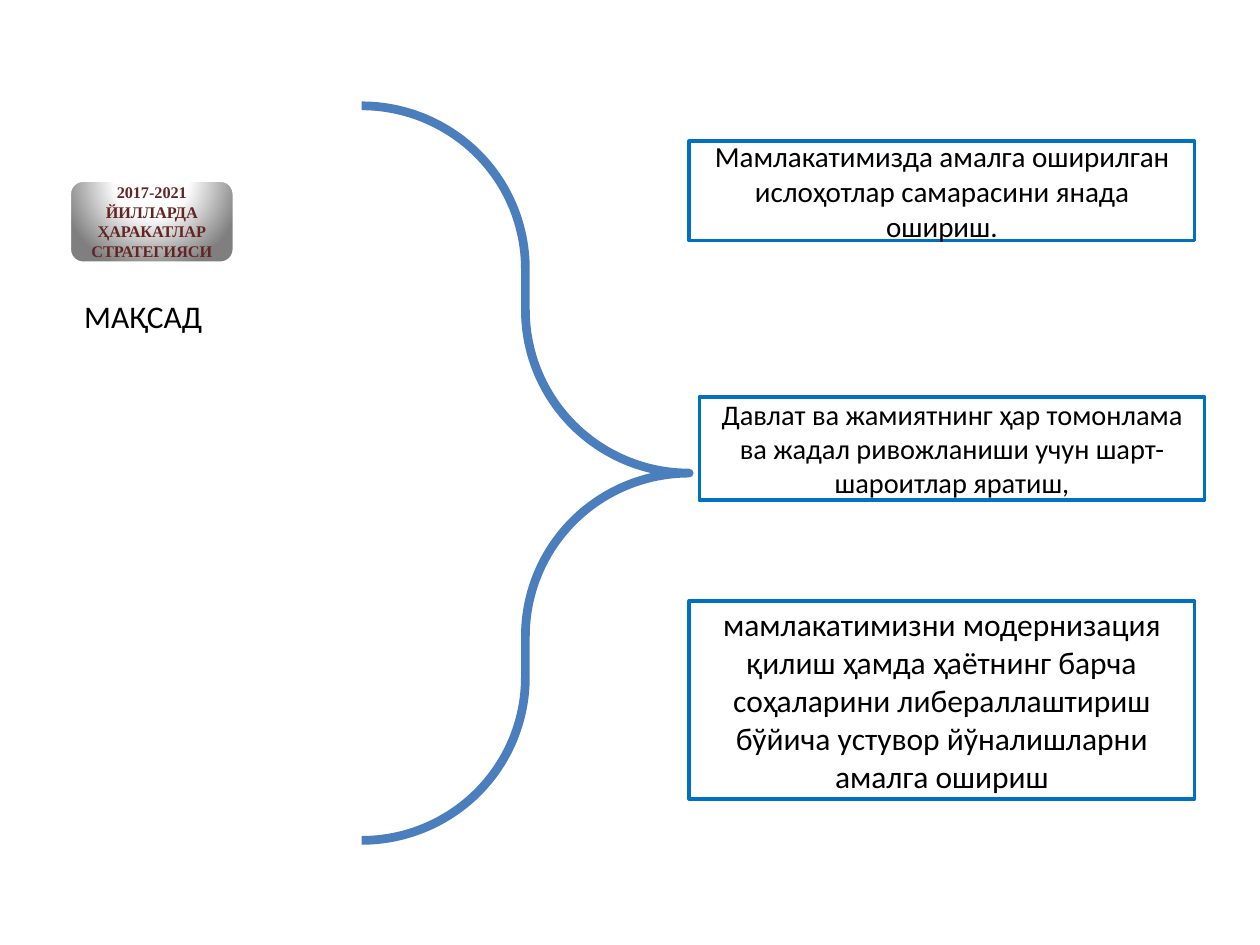
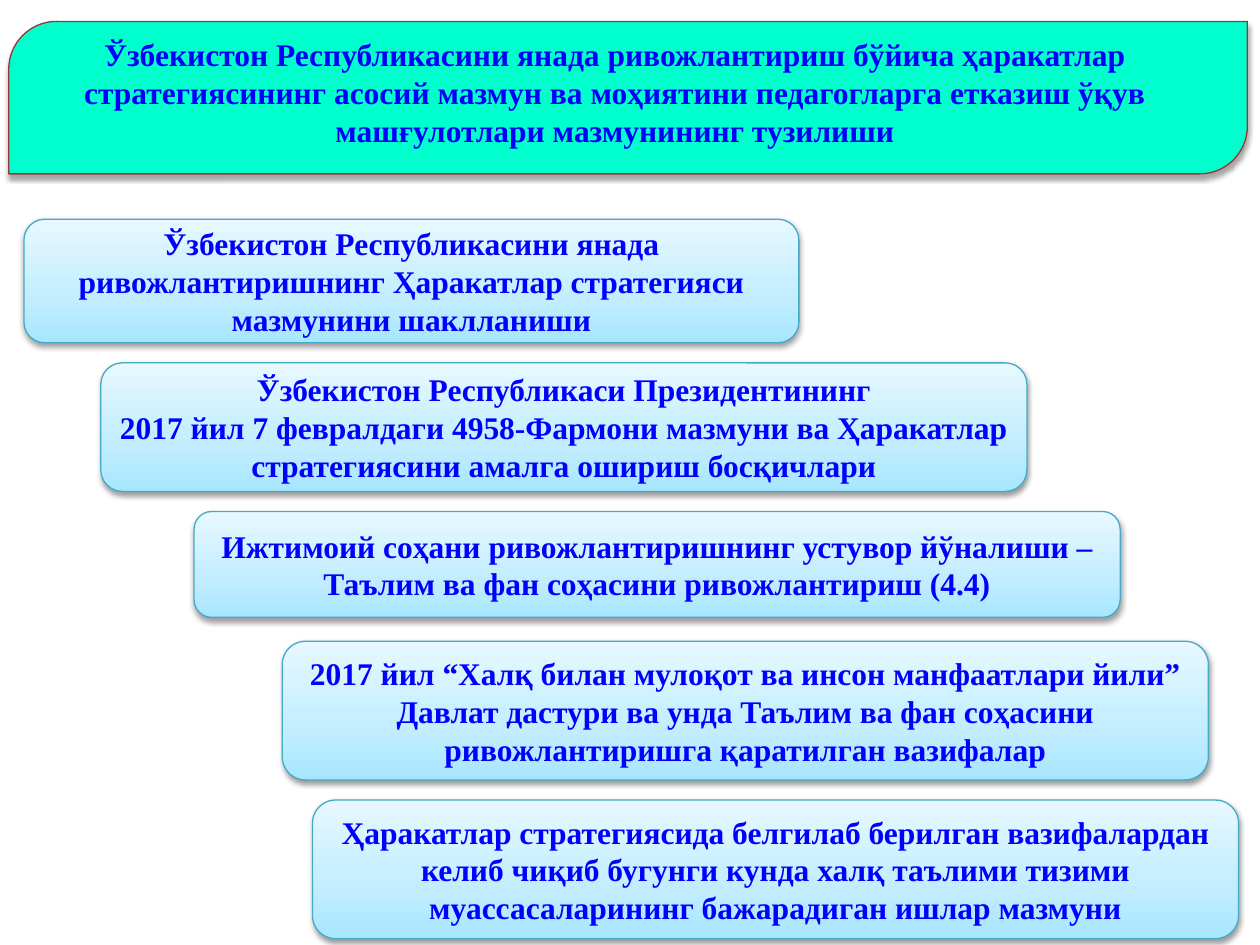
from pptx import Presentation, oxml
from pptx import util as u
from pptx.dml import color
from pptx.enum import shapes, text
from pptx.oxml import ns

CALIBRI, TIMES = "Calibri", "Times New Roman"
BLACK, MAROON, BLUE = "000000", "632523", "0000FF"
SILVER = ([(0, "FFFFFF"), (40, "FEFEFE"), (100, "7F7F7F")],
          '<a:path path="circle"><a:fillToRect l="50000" t="-80000" r="50000" b="180000"/></a:path>')
SKY = ([(0, "A7E6FF"), (35, "C1EDFF"), (100, "E7F8FF")],
       '<a:lin ang="16200000" scaled="0"/>')


def rgb(value):
    return color.RGBColor.from_string(value)


def add_box(slide, kind, at, words="", font=CALIBRI, size=18, ink=BLACK, bold=False,
            align=text.PP_ALIGN.CENTER, fill=None, line=None, shadow=None):
    place = [u.Inches(length) for length in at]
    if kind is None:
        box = slide.shapes.add_textbox(*place)
        box.text_frame.auto_size = text.MSO_AUTO_SIZE.SHAPE_TO_FIT_TEXT
    else:
        box = slide.shapes.add_shape(kind, *place)
        box.shadow.inherit = False
        box.text_frame.vertical_anchor = text.MSO_ANCHOR.MIDDLE
        box.line.color.rgb = rgb(line[0])
        box.line.width = u.Pt(line[1])
        box.fill.background()
    properties = box._element.spPr
    if isinstance(fill, str):
        box.fill.solid()
        box.fill.fore_color.rgb = rgb(fill)
    elif fill:
        stops = "".join(f'<a:gs pos="{spot * 1000}"><a:srgbClr val="{tone}"/></a:gs>'
                        for spot, tone in fill[0])
        gradient = oxml.parse_xml(f'<a:gradFill {ns.nsdecls("a")} rotWithShape="1">'
                                  f'<a:gsLst>{stops}</a:gsLst>{fill[1]}</a:gradFill>')
        properties.replace(properties.find(ns.qn("a:noFill")), gradient)
    if shadow:
        opacity, distance = shadow
        properties.find(ns.qn("a:effectLst")).append(oxml.parse_xml(
            f'<a:outerShdw {ns.nsdecls("a")} blurRad="{u.Pt(3.1)}" dist="{u.Pt(distance)}" '
            f'dir="5400000" rotWithShape="0"><a:srgbClr val="000000">'
            f'<a:alpha val="{opacity * 1000}"/></a:srgbClr></a:outerShdw>'))
    box.text_frame.word_wrap = True
    box.text_frame.text = words
    for paragraph in box.text_frame.paragraphs:
        paragraph.alignment = align
        for run in paragraph.runs:
            run.font.name = font
            run.font.size = u.Pt(size)
            run.font.bold = bold
            run.font.color.rgb = rgb(ink)
    return box


deck = Presentation()
deck.slide_width, deck.slide_height = u.Inches(10), u.Inches(7.5)
blank = deck.slide_layouts[6]
preset = shapes.MSO_SHAPE

purpose = deck.slides.add_slide(blank)
add_box(purpose, preset.ROUNDED_RECTANGLE, (0.55, 1.43, 1.31, 0.66),
        "2017-2021 ЙИЛЛАРДА\nҲАРАКАТЛАР СТРАТЕГИЯСИ", TIMES, 9.3, MAROON, True,
        fill=SILVER, line=("FFFFFF", 2))
add_box(purpose, None, (0.57, 2.31, 2.58, 0.4), "МАҚСАД", align=text.PP_ALIGN.LEFT)

goals = [
    (5.47, 1.12, 0.79, 16.6, "Мамлакатимизда амалга оширилган ислоҳотлар самарасини янада ошириш."),
    (5.55, 3.15, 0.82, 16.2, "Давлат ва жамиятнинг ҳар томонлама ва жадал ривожланиши учун "
                             "шарт-шароитлар яратиш,"),
    (5.47, 4.77, 1.57, 18, "мамлакатимизни модернизация қилиш ҳамда ҳаётнинг барча соҳаларини "
                           "либераллаштириш бўйича устувор йўналишларни амалга ошириш"),
]
for left, top, height, size, goal in goals:
    add_box(purpose, preset.RECTANGLE, (left, top, 4.01, height), goal, size=size,
            line=("0070C0", 2))

brace = add_box(purpose, preset.RIGHT_BRACE, (2.87, 0.84, 2.6, 5.83), line=("4B7EBC", 5))
brace.adjustments[0] = 0.498
brace.adjustments[1] = 0.5

structure = deck.slides.add_slide(blank)
banner = add_box(structure, preset.ROUND_2_DIAG_RECTANGLE, (0.07, 0.17, 9.83, 1.21),
                 fill="00FFCC", line=("953735", 0.75), shadow=(35, 1.8))
banner.adjustments[0] = 0.313
banner.adjustments[1] = 0
add_box(structure, None, (0.51, 0.23, 8.74, 1.01),
        "Ўзбекистон Республикасини янада ривожлантириш бўйича ҳаракатлар стратегиясининг "
        "асосий мазмун ва моҳиятини педагогларга етказиш ўқув машғулотлари мазмунининг тузилиши",
        TIMES, 18, BLUE, True)

topics = [
    (0.19, 1.74, 6.15, 0.98, "Ўзбекистон Республикасини янада ривожлантиришнинг Ҳаракатлар "
                             "стратегияси мазмунини шаклланиши"),
    (0.8, 2.88, 7.35, 1.02, "Ўзбекистон Республикаси Президентининг\n2017 йил 7 февралдаги "
                            "4958-Фармони мазмуни ва Ҳаракатлар стратегиясини амалга ошириш "
                            "босқичлари"),
    (1.54, 4.06, 7.35, 0.84, "Ижтимоий соҳани ривожлантиришнинг устувор йўналиши –Таълим ва фан "
                             "соҳасини ривожлантириш (4.4)"),
    (2.24, 5.09, 7.35, 1.1, "2017 йил “Халқ билан мулоқот ва инсон манфаатлари йили” Давлат "
                            "дастури ва унда Таълим ва фан соҳасини ривожлантиришга қаратилган "
                            "вазифалар"),
    (2.48, 6.35, 7.35, 1.1, "Ҳаракатлар стратегиясида белгилаб берилган вазифалардан келиб чиқиб "
                            "бугунги кунда халқ таълими тизими муассасаларининг бажарадиган ишлар "
                            "мазмуни"),
]
for *place, topic in topics:
    add_box(structure, preset.ROUNDED_RECTANGLE, place, topic, TIMES, 18, BLUE, True,
            fill=SKY, line=("46AAC5", 0.75), shadow=(38, 1.6))

deck.save("out.pptx")
